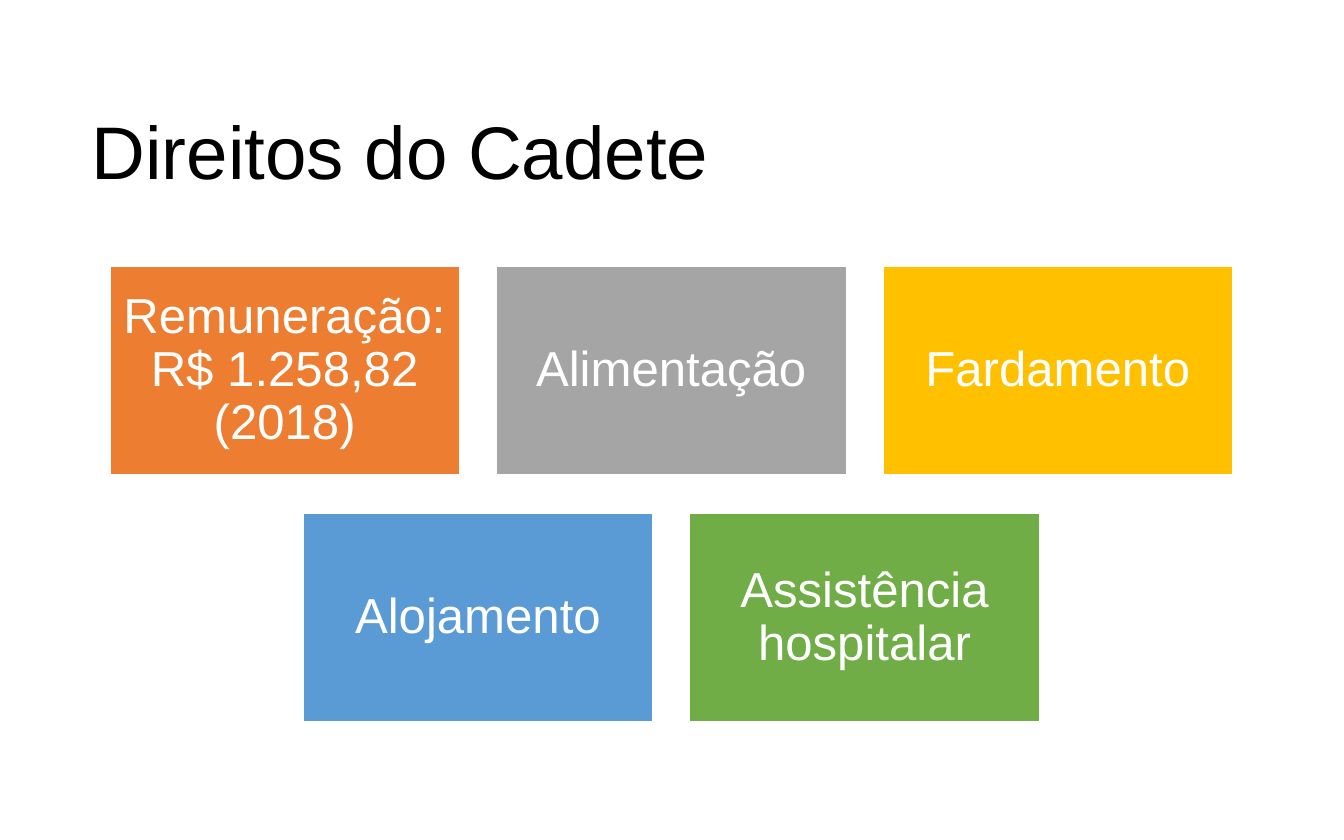
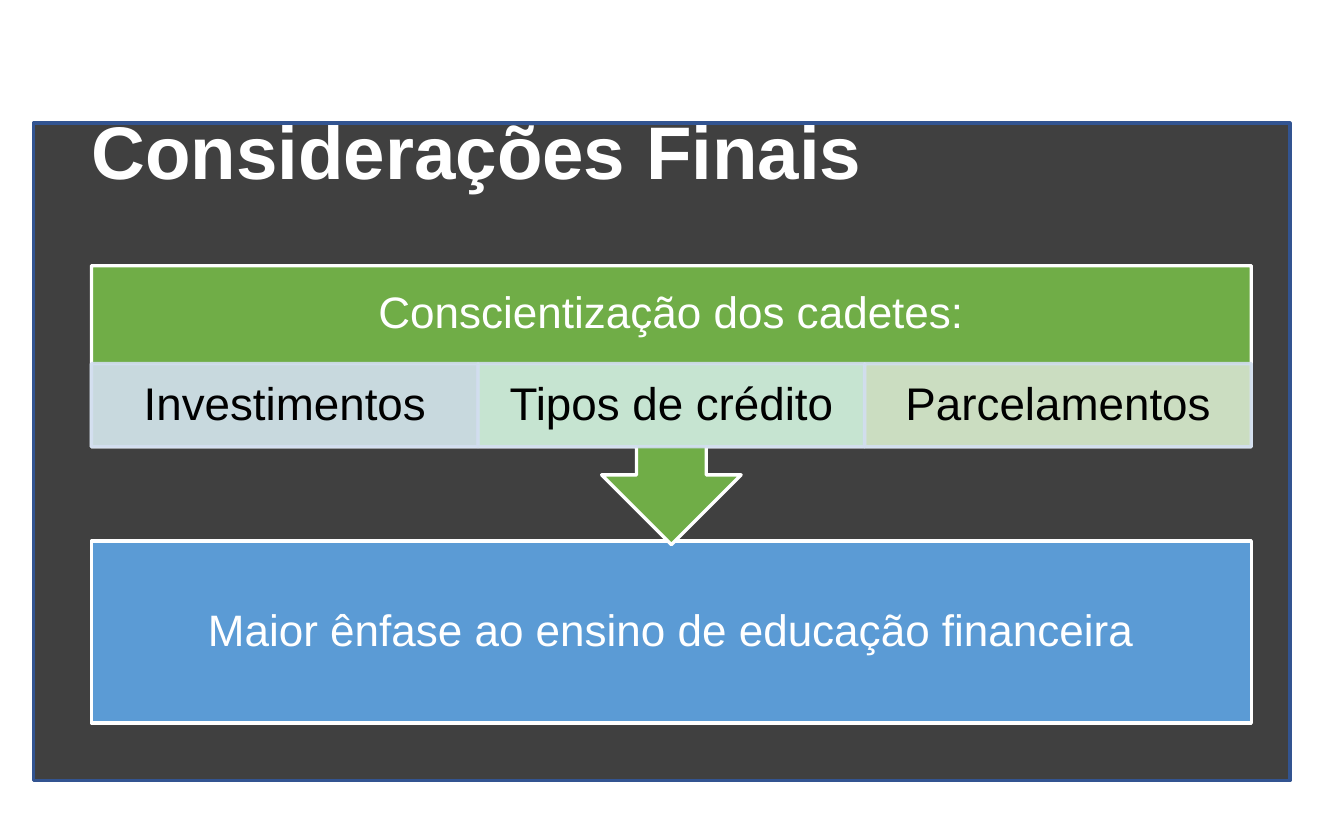
from lxml.etree import SubElement
from pptx import Presentation
from pptx.dml.color import RGBColor
from pptx.enum.shapes import MSO_SHAPE
from pptx.enum.text import MSO_ANCHOR, PP_ALIGN
from pptx.oxml.ns import qn
from pptx.util import Inches, Pt

WHITE = RGBColor(0xFF, 0xFF, 0xFF)
BLACK = RGBColor(0, 0, 0)
ORANGE = RGBColor(0xED, 0x7D, 0x31)
GRAY = RGBColor(0xA5, 0xA5, 0xA5)
GOLD = RGBColor(0xFF, 0xC0, 0x00)
BLUE = RGBColor(0x5B, 0x9B, 0xD5)
GREEN = RGBColor(0x70, 0xAD, 0x47)
CHARCOAL = RGBColor(0x40, 0x40, 0x40)
NAVY = RGBColor(0x32, 0x54, 0x91)
PALE_BLUE = RGBColor(0xD2, 0xDE, 0xEF)
PALE_TEAL = RGBColor(0xD0, 0xEA, 0xE1)
PALE_GREEN = RGBColor(0xD5, 0xE3, 0xCF)


class Deck:
    FONT = "Arial"
    LEFT, TOP = 0.75, 2.18
    COL, ROW, COLS = 3.17, 0.75, 3

    def __init__(self, width, height):
        self.prs = Presentation()
        self.prs.slide_width = Inches(width)
        self.prs.slide_height = Inches(height)

    def add_slide(self):
        self.slide = self.prs.slides.add_slide(self.prs.slide_layouts[6])

    def place(self, col, row, cols, rows):
        return (Inches(self.LEFT + col * self.COL), Inches(self.TOP + row * self.ROW),
                Inches(cols * self.COL), Inches(rows * self.ROW))

    def set_text(self, sp, text, size, color, margins, align=PP_ALIGN.CENTER, bold=False):
        tf = sp.text_frame
        tf.word_wrap = True
        tf.vertical_anchor = MSO_ANCHOR.MIDDLE
        tf.margin_left, tf.margin_top, tf.margin_right, tf.margin_bottom = map(Inches, margins)
        p = tf.paragraphs[0]
        p.text = text
        p.alignment = align
        p.line_spacing = 0.9
        p.font.name = self.FONT
        p.font.size = Pt(size)
        p.font.bold = bold
        p.font.color.rgb = color

    def title(self, text, color=BLACK, bold=False):
        sp = self.slide.shapes.add_textbox(*self.place(0, -2.01, self.COLS, 1.6))
        self.set_text(sp, text, 44, color, [0] * 4, PP_ALIGN.LEFT, bold)

    def block(self, cell, fill, line=WHITE, shape=MSO_SHAPE.RECTANGLE, opacity=100):
        sp = self.slide.shapes.add_shape(shape, *self.place(*cell))
        sp.shadow.inherit = False
        sp.fill.solid()
        sp.fill.fore_color.rgb = fill
        sp.line.color.rgb = line
        sp.line.width = Pt(2)
        if opacity < 100:
            for clr in sp.element.spPr.iter(qn("a:srgbClr")):
                SubElement(clr, qn("a:alpha")).set("val", str(opacity * 1000))
        return sp

    def card(self, col, row, text, fill):
        gutter = 0.09
        sp = self.block((col + gutter / 2, row, 1 - gutter, 2.3), fill)
        self.set_text(sp, text, 29, WHITE, [0.11] * 4)

    def banner(self, row, rows, text, fill):
        sp = self.block((0, row, self.COLS, rows), fill)
        self.set_text(sp, text, 26, WHITE, [0.2] * 4)

    def callout(self, row, rows, body, strip, text, fill):
        sp = self.block((0, row, self.COLS, rows), fill, shape=MSO_SHAPE.DOWN_ARROW_CALLOUT)
        sp.adjustments[3] = body / rows
        self.set_text(sp, text, 26, WHITE, [0.2, 0.2, 0.2, 0.2 + strip * self.ROW])

    def topic(self, col, row, rows, text, fill):
        sp = self.block((col, row, 1, rows), fill, PALE_BLUE, opacity=90)
        self.set_text(sp, text, 27, BLACK, [0.2, 0.04, 0.2, 0.04])


deck = Deck(11.02, 6.89)

deck.add_slide()
deck.title("Direitos do Cadete")
card_rows = [
    [("Remuneração: R$ 1.258,82 (2018)", ORANGE), ("Alimentação", GRAY), ("Fardamento", GOLD)],
    [("Alojamento", BLUE), ("Assistência hospitalar", GREEN)],
]
for i, cards in enumerate(card_rows):
    start = (deck.COLS - len(cards)) / 2
    for j, (text, fill) in enumerate(cards):
        deck.card(start + j, i * 2.7, text, fill)

deck.add_slide()
deck.block((-0.15, -1.56, 3.25, 7.19), CHARCOAL, NAVY)
deck.title("Considerações Finais", WHITE, bold=True)
deck.banner(3.01, 1.99, "Maior ênfase ao ensino de educação financeira", BLUE)
heading, strip = 1.07, 0.91
deck.callout(0, 3.05, heading + strip, strip, "Conscientização dos cadetes:", GREEN)
topics = [("Investimentos", PALE_BLUE), ("Tipos de crédito", PALE_TEAL), ("Parcelamentos", PALE_GREEN)]
for i, (text, fill) in enumerate(topics):
    deck.topic(i, heading, strip, text, fill)

deck.prs.save("out.pptx")
